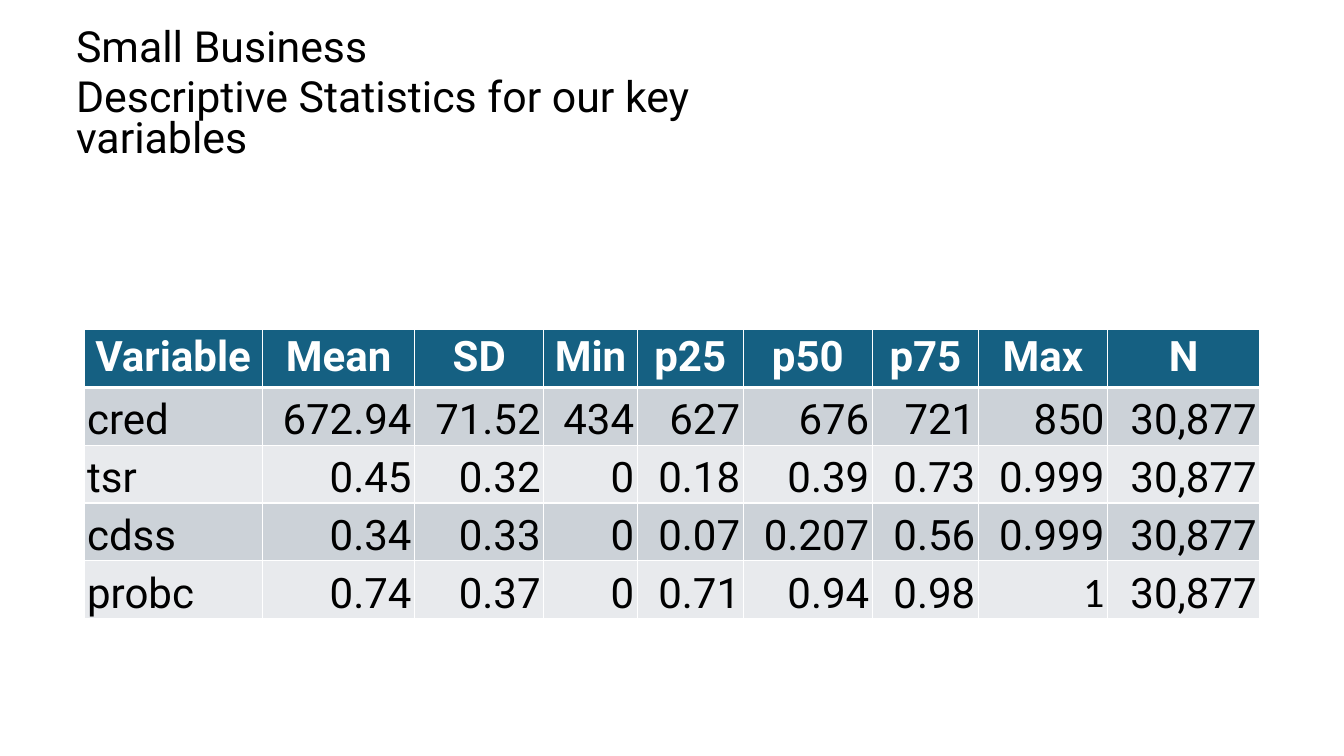
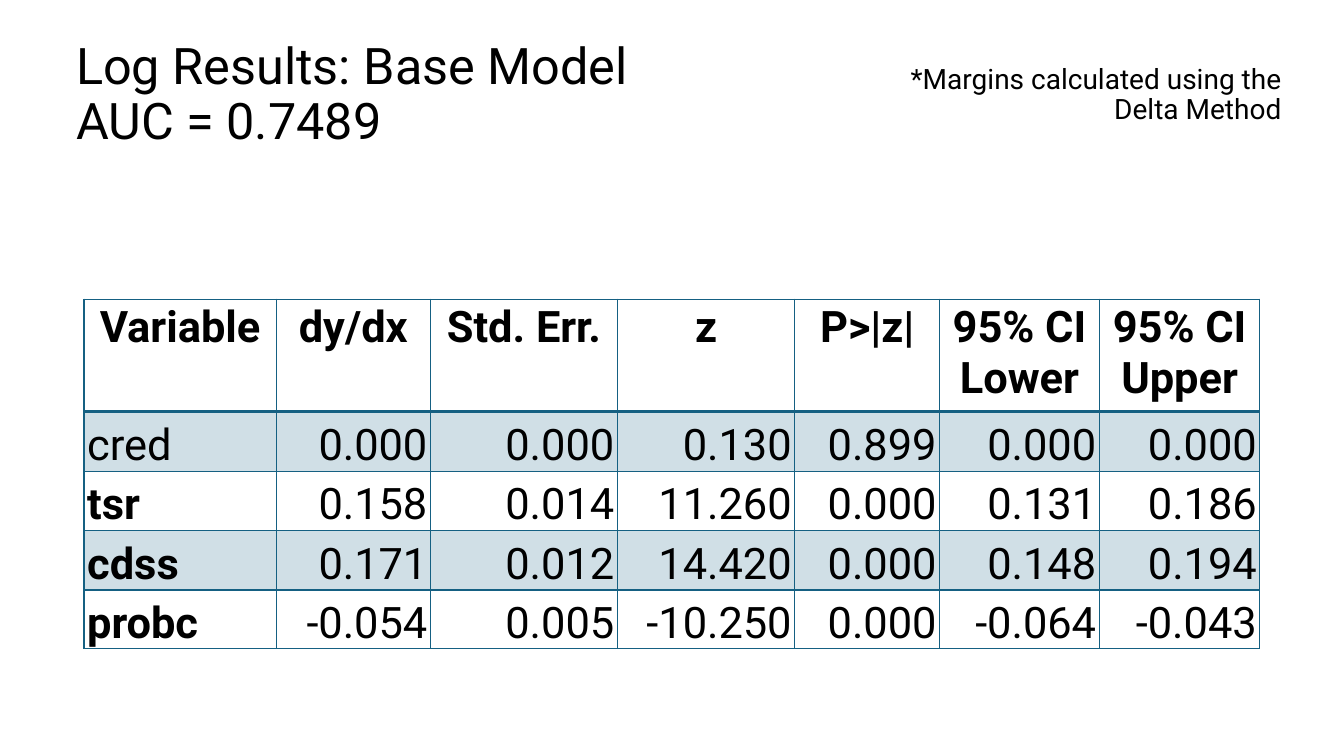
"""Build two slides of statistics tables for small business credit variables."""
from lxml.etree import SubElement
from pptx import Presentation
from pptx.dml.color import RGBColor
from pptx.enum.shapes import MSO_SHAPE as SHAPE
from pptx.enum.text import MSO_ANCHOR as ANCHOR, PP_ALIGN as ALIGN
from pptx.oxml.ns import qn
from pptx.util import Pt

PX = 9525
WHITE, BLACK, TEAL = "FFFFFF", "000000", "156082"
GREY, PALE, TINT = "CCD2D8", "E8EAED", "D0DFE6"
FONT = "Roboto"
TITLE_BOX = (63, 26, 736, 130)


def rgb(code):
    """Turn a hex string into a colour."""
    return RGBColor.from_string(code)


def write(p, text, size, color=BLACK, bold=False, font=FONT, **layout):
    """Set the text of a paragraph, its run format and its layout."""
    p.text = text
    for name, value in layout.items():
        setattr(p, name, value)
    for r in p.runs:
        for name, value in dict(name=font, size=Pt(size), bold=bold).items():
            setattr(r.font, name, value)
        r.font.color.rgb = rgb(color)


slides = [
    dict(
        texts=[
            dict(box=TITLE_BOX, lines=["Small Business", "Descriptive Statistics for our key variables"],
                 size=30.6, format=dict(line_spacing=0.8, space_after=Pt(6))),
        ],
        top=314, widths=[170, 145, 123, 89, 101, 123, 101, 123, 145], heights=[55] * 5,
        size=30, line=WHITE, rule=3, head_fill=TEAL, head_color=WHITE, bands=[GREY, PALE],
        bold_names=[], fonts={(4, 7): "Calibri"},
        rows=[
            ["Variable", "Mean", "SD", "Min", "p25", "p50", "p75", "Max", "N"],
            ["cred", "672.94", "71.52", "434", "627", "676", "721", "850", "30,877"],
            ["tsr", "0.45", "0.32", "0", "0.18", "0.39", "0.73", "0.999", "30,877"],
            ["cdss", "0.34", "0.33", "0", "0.07", "0.207", "0.56", "0.999", "30,877"],
            ["probc", "0.74", "0.37", "0", "0.71", "0.94", "0.98", "1", "30,877"],
        ],
    ),
    dict(
        texts=[
            dict(box=TITLE_BOX, lines=["Log Results: Base Model\vAUC = 0.7489"],
                 size=36, format=dict(line_spacing=0.9)),
            dict(box=(798, 26, 432, 130), lines=["*Margins calculated using the Delta Method"],
                 size=20, format=dict(line_spacing=0.9, space_before=Pt(10), alignment=ALIGN.RIGHT)),
        ],
        top=285, widths=[183, 147, 178, 169, 138, 152, 153], heights=[107, 57, 56, 57, 56],
        size=31, line=TEAL, rule=2, head_fill=None, head_color=BLACK, bands=[TINT, None],
        bold_names=["tsr", "cdss", "probc"], fonts={},
        rows=[
            ["Variable", "dy/dx", "Std. Err.", "z", "P>|z|", "95% CI Lower", "95% CI Upper"],
            ["cred", "0.000", "0.000", "0.130", "0.899", "0.000", "0.000"],
            ["tsr", "0.158", "0.014", "11.260", "0.000", "0.131", "0.186"],
            ["cdss", "0.171", "0.012", "14.420", "0.000", "0.148", "0.194"],
            ["probc", "-0.054", "0.005", "-10.250", "0.000", "-0.064", "-0.043"],
        ],
    ),
]

prs = Presentation()
prs.slide_width, prs.slide_height = 1280 * PX, 720 * PX

for data in slides:
    s = prs.slides.add_slide(prs.slide_layouts[6])
    band = s.shapes.add_shape(SHAPE.RECTANGLE, 0, 0, prs.slide_width, 179 * PX)
    band.shadow.inherit = False
    band.fill.solid()
    band.fill.fore_color.rgb = rgb(WHITE)
    band.line.fill.background()

    for text in data["texts"]:
        tf = s.shapes.add_textbox(*[v * PX for v in text["box"]]).text_frame
        tf.word_wrap = True
        tf.vertical_anchor = ANCHOR.MIDDLE
        for i, line in enumerate(text["lines"]):
            p = tf.add_paragraph() if i else tf.paragraphs[0]
            write(p, line, text["size"], **text["format"])

    rows, widths, heights = data["rows"], data["widths"], data["heights"]
    table = s.shapes.add_table(len(rows), len(widths), 80 * PX, data["top"] * PX,
                               sum(widths) * PX, sum(heights) * PX).table
    table.horz_banding = False
    for column, width in zip(table.columns, widths):
        column.width = width * PX
    for row, height in zip(table.rows, heights):
        row.height = height * PX

    for i, row in enumerate(rows):
        head = i == 0
        fill = data["head_fill"] if head else data["bands"][(i - 1) % 2]
        for j, value in enumerate(row):
            cell = table.cell(i, j)
            margins = dict(margin_left=3, margin_top=3, margin_right=3, margin_bottom=0)
            for name, margin in margins.items():
                setattr(cell, name, margin * PX)
            cell.vertical_anchor = ANCHOR.TOP if head else ANCHOR.BOTTOM

            tcPr = cell._tc.get_or_add_tcPr()
            edges = dict(lnL=1, lnR=1, lnT=data["rule"] if i == 1 else 1, lnB=data["rule"] if head else 1)
            for edge, width in edges.items():
                ln = SubElement(tcPr, qn(f"a:{edge}"), w=str(Pt(width)))
                SubElement(SubElement(ln, qn("a:solidFill")), qn("a:srgbClr"), val=data["line"])
            if fill:
                cell.fill.solid()
                cell.fill.fore_color.rgb = rgb(fill)
            else:
                cell.fill.background()

            align = ALIGN.CENTER if head else ALIGN.RIGHT if j else ALIGN.LEFT
            write(cell.text_frame.paragraphs[0], value, data["size"],
                  color=data["head_color"] if head else BLACK,
                  bold=head or value in data["bold_names"],
                  font=data["fonts"].get((i, j), FONT), alignment=align)

prs.save("out.pptx")
